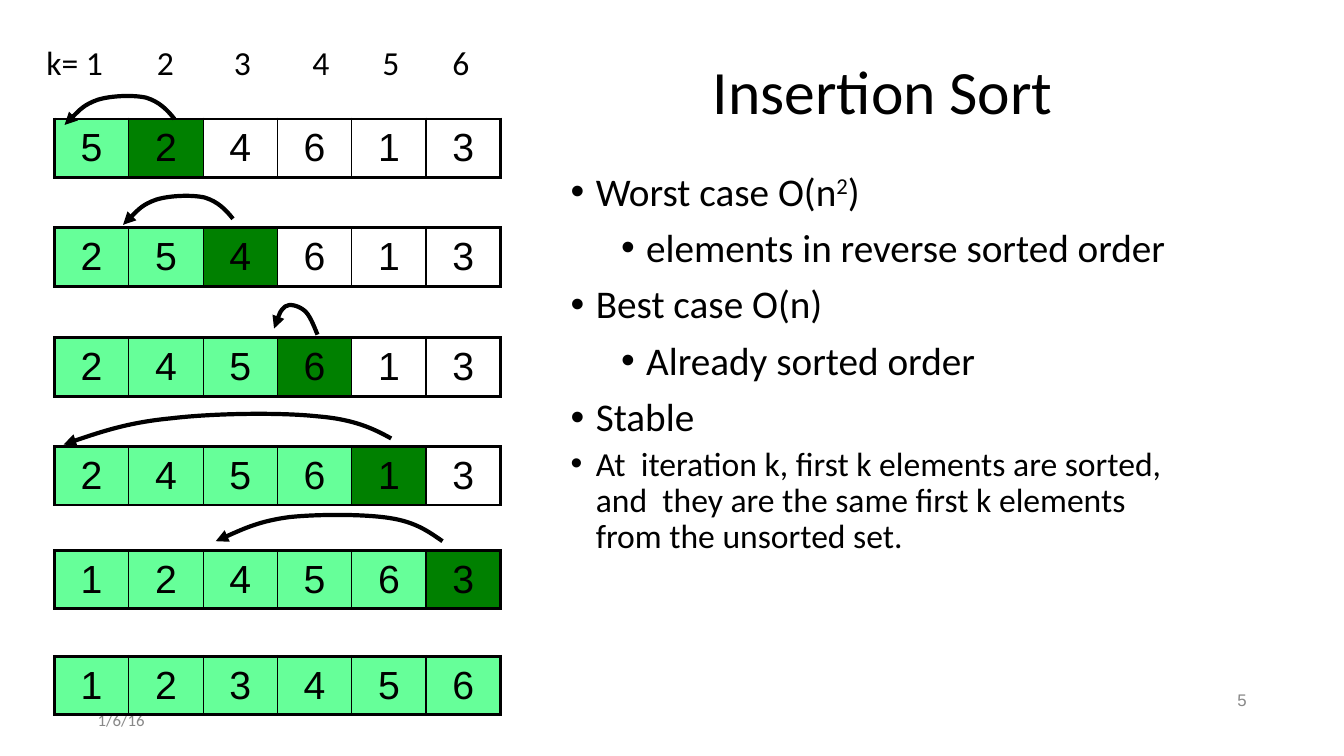
from copy import deepcopy
from dataclasses import dataclass

from pptx import Presentation
from pptx.dml.color import RGBColor
from pptx.enum.text import MSO_ANCHOR, PP_ALIGN
from pptx.oxml.ns import qn
from pptx.util import Pt
from lxml import etree

LEFT, MID, RIGHT = PP_ALIGN.LEFT, PP_ALIGN.CENTER, PP_ALIGN.RIGHT
TOP, CENTRE = MSO_ANCHOR.TOP, MSO_ANCHOR.MIDDLE
BLACK, GREY = "000000", "888888"
DONE, KEY = "66FF99", "008000"
ROW_X, CELL_W, CELL_H = 38.9, 53.1, 41.8
PAD = 3.6
THIN, THICK = 1, 2.25

Point = tuple[float, float]


@dataclass
class Step:
    top: float
    nums: str
    done: int
    key: int | None


@dataclass
class Item:
    runs: list[tuple[str, bool]]  # text, raised
    level: int = 0
    size: float = 28
    gap: float = 10


STEPS = [
    Step(85, "524613", 1, 1),
    Step(162.7, "254613", 2, 2),
    Step(241.3, "245613", 3, 3),
    Step(319, "245613", 4, 4),
    Step(393.1, "124563", 5, 5),
    Step(468.7, "123456", 6, None),
]

# Start point, then three Bézier points for each bend
HOP = [(124.6, 85), (119.5, 78.5), (113.8, 72.7), (104.4, 69.8), (95, 67.7),
       (79.2, 68.4), (69.8, 71.3), (59.8, 74.9), (53.3, 82.1), (46.1, 89.3)]
ARROWS = [
    HOP,
    [(x + 41.8, y + 71.3) for x, y in HOP],
    [(226.8, 239), (223.9, 231.8), (221, 224.6), (217.4, 221.8), (213.1, 218.2),
     (206.6, 216.7), (203.8, 218.9), (200.2, 221.8), (198, 228.2), (195.8, 234.7)],
    [(279.4, 313.2), (266.4, 306), (252.7, 299.5), (226.8, 297.4), (200.2, 294.5),
     (152.6, 295.2), (122.4, 298.8), (92.2, 301.7), (68.4, 309.6), (45.4, 317.5)],
    [(316.1, 386.6), (306.7, 380.2), (297.4, 373), (278.6, 370.1), (260.6, 367.2),
     (227.5, 367.2), (206.6, 369.4), (185.8, 372.2), (169.9, 379.4), (154.1, 386.6)],
]

ITEMS = [
    Item([("Worst case O(n", False), ("2", True), (")", False)], gap=0),
    Item([("elements in reverse sorted order", False)], level=1),
    Item([("Best case O(n)", False)]),
    Item([("Already sorted order", False)], level=1),
    Item([("Stable", False)]),
    Item([("At  iteration k, first k elements are sorted, and  they are the same "
           "first k elements from the unsorted set.", False)], size=24, gap=5),
]
TABS = [79, 134, 190, 240, 290]


def rgb(code: str) -> RGBColor:
    return RGBColor.from_string(code)


def add(parent, tag: str, **attrs):
    """Append a child element and return it."""
    return etree.SubElement(parent, qn(tag), attrs)


def write(para, text: str, size: float, face: str = "Calibri", color: str = BLACK):
    run = para.add_run()
    run.text = text
    run.font.size, run.font.name = Pt(size), face
    run.font.color.rgb = rgb(color)
    return run


def add_box(slide, x: float, y: float, w: float, h: float, anchor=TOP, align=LEFT):
    """Add a text box and return its text frame."""
    frame = slide.shapes.add_textbox(Pt(x), Pt(y), Pt(w), Pt(h)).text_frame
    frame.word_wrap = True
    frame.vertical_anchor = anchor
    frame.margin_left = frame.margin_right = Pt(PAD)
    frame.margin_top = frame.margin_bottom = Pt(PAD)
    frame.paragraphs[0].alignment = align
    return frame


def add_edge(cell, side: str, width: float) -> None:
    line = add(cell._tc.get_or_add_tcPr(), f"a:ln{side}", w=str(Pt(width)))
    add(add(line, "a:solidFill"), "a:srgbClr", val=BLACK)


def add_row(slide, step: Step) -> None:
    count = len(step.nums)
    table = slide.shapes.add_table(1, count, Pt(ROW_X), Pt(step.top),
                                   Pt(CELL_W * count), Pt(CELL_H)).table
    table.first_row = table.horz_banding = False
    for i, num in enumerate(step.nums):
        table.columns[i].width = Pt(CELL_W)
        cell = table.cell(0, i)
        cell.vertical_anchor = CENTRE
        cell.margin_left = cell.margin_right = Pt(PAD)
        cell.margin_top = cell.margin_bottom = Pt(PAD)
        add_edge(cell, "L", THICK if i == 0 else THIN)
        add_edge(cell, "R", THICK if i == count - 1 else THIN)
        add_edge(cell, "T", THICK)
        add_edge(cell, "B", THICK)
        if i == step.key or i < step.done:
            cell.fill.solid()
            cell.fill.fore_color.rgb = rgb(KEY if i == step.key else DONE)
        else:
            cell.fill.background()
        para = cell.text_frame.paragraphs[0]
        para.alignment = MID
        write(para, num, 28, "Arial")


def add_arrow(slide, points: list[Point]) -> None:
    start, *rest = [(Pt(x), Pt(y)) for x, y in points]
    pen = slide.shapes.build_freeform(*start)
    pen.add_line_segments(rest, close=False)
    shape = pen.convert_to_shape()
    shape.shadow.inherit = False
    shape.fill.background()
    shape.line.color.rgb = rgb(BLACK)
    shape.line.width = Pt(3)
    add(shape.line._get_or_add_ln(), "a:tailEnd", type="triangle")
    # Group each three straight segments into one curve
    route = next(shape._element.iter(qn("a:path")))
    lines = route.findall(qn("a:lnTo"))
    for i in range(0, len(lines), 3):
        curve = add(route, "a:cubicBezTo")
        for line in lines[i:i + 3]:
            curve.append(deepcopy(line[0]))
            route.remove(line)


def add_item(para, item: Item) -> None:
    para.level = item.level
    para.line_spacing = 0.9
    para.space_before = Pt(item.gap)
    props = para._p.get_or_add_pPr()
    props.set("marL", str(Pt(18 + 36 * item.level)))
    props.set("indent", str(Pt(-18)))
    add(props, "a:buFont", typeface="Arial")
    add(props, "a:buChar", char="•")
    for text, raised in item.runs:
        run = write(para, text, item.size)
        if raised:
            run.font._element.set("baseline", "30000")


def main() -> None:
    deck = Presentation()
    deck.slide_width, deck.slide_height = Pt(960), Pt(540)
    slide = deck.slides.add_slide(deck.slide_layouts[6])

    title = add_box(slide, 383, 28.8, 495.4, 77, CENTRE, MID).paragraphs[0]
    title.line_spacing = 0.9
    write(title, "Insertion Sort", 44)

    body = add_box(slide, 404, 119.5, 453, 356.4)
    for i, item in enumerate(ITEMS):
        add_item(body.add_paragraph() if i else body.paragraphs[0], item)

    date = add_box(slide, 66.2, 504, 216, 20.9, CENTRE)
    write(date.paragraphs[0], "1/6/16", 12, color=GREY)
    page = add_box(slide, 678.2, 489.6, 216, 20.9, CENTRE, RIGHT)
    write(page.paragraphs[0], "5", 12, "Arial", GREY)

    for step in STEPS:
        add_row(slide, step)
    for points in ARROWS:
        add_arrow(slide, points)

    heads = add_box(slide, 29.5, 26.6, 316, 36).paragraphs[0]
    stops = add(heads._p.get_or_add_pPr(), "a:tabLst")
    for stop in TABS:
        add(stops, "a:tab", pos=str(Pt(stop)), algn="l")
    write(heads, "k= 1\t2\t3\t4\t5\t6", 24)

    deck.save("out.pptx")


if __name__ == "__main__":
    main()
